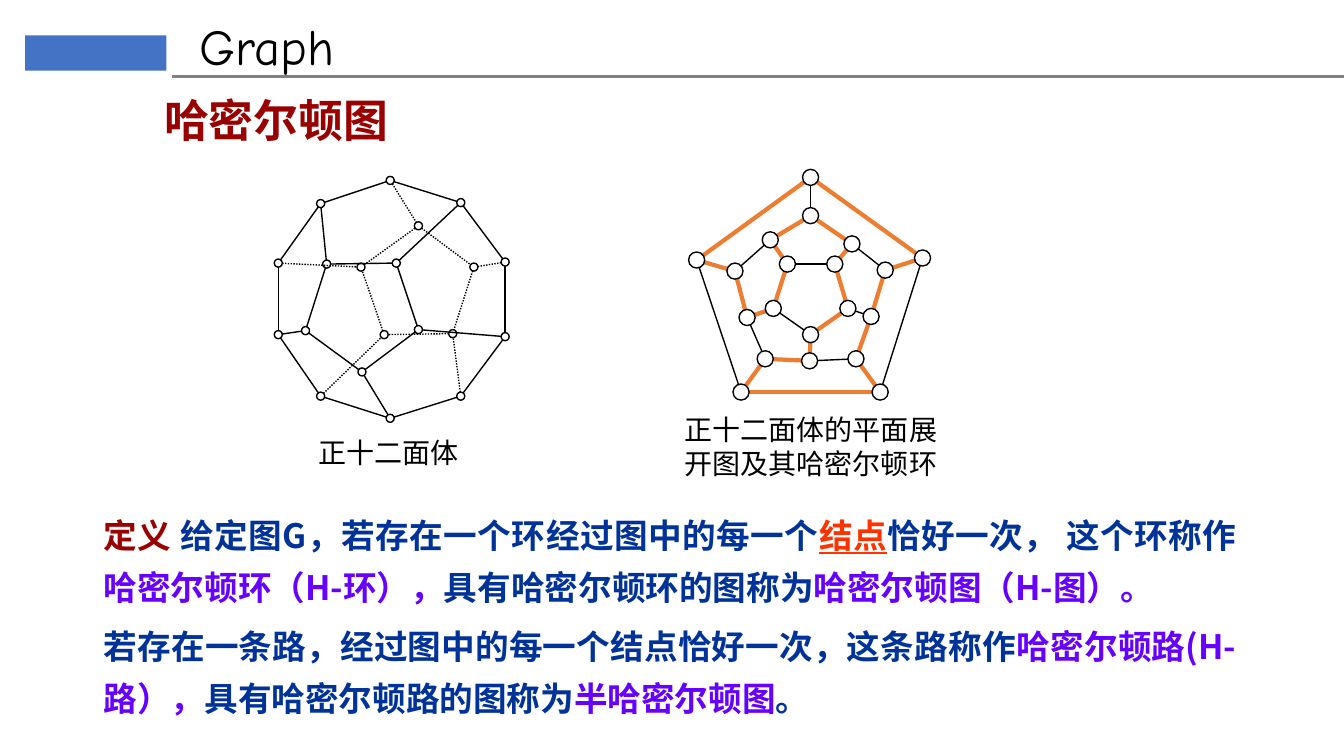
from dataclasses import dataclass
from math import hypot

from lxml.etree import SubElement
from pptx import Presentation
from pptx.dml.color import RGBColor
from pptx.enum.dml import MSO_LINE
from pptx.enum.shapes import MSO_CONNECTOR, MSO_SHAPE
from pptx.enum.text import MSO_ANCHOR, PP_ALIGN
from pptx.oxml.ns import qn
from pptx.util import Emu, Pt

PX = 9144  # 100 px to the inch


@dataclass(frozen=True)
class Theme:
    ink: str = "000000"
    rule: str = "808080"
    accent: str = "4472C4"
    heading: str = "990000"
    body: str = "003399"
    key: str = "FF3300"
    term: str = "6600FF"
    cycle: str = "ED7D31"
    cjk: str = "Noto Sans CJK SC"
    header_font: str = "Comic Neue"
    header_size: int = 36
    title_size: int = 32
    body_size: int = 24
    caption_size: int = 20
    body_leading: float = 37.2
    caption_leading: float = 24.3


THEME = Theme()

# Vertices 0-9 form the ring, 10-14 hang on its even and 15-19 on its odd ones.
EDGES = (
    [(i, (i + 1) % 10) for i in range(10)]
    + [(start + i, start + (i + 1) % 5) for start in (10, 15) for i in range(5)]
    + [(2 * i + odd, 10 + 5 * odd + i) for odd in (0, 1) for i in range(5)]
)
SOLID_VERTICES = [
    (115, 4), (185, 26), (229, 85), (229, 159), (185, 218),
    (115, 240), (46, 218), (4, 157), (4, 86), (46, 27),
    (143, 49), (198, 90), (177, 156), (109, 157), (86, 90),
    (121, 86), (143, 152), (87, 194), (31, 153), (52, 87),
]
PLANAR_VERTICES = [
    (121, 46), (162, 74), (195, 100), (181, 146), (166, 188),
    (120, 190), (76, 188), (58, 147), (46, 101), (81, 70),
    (121, 8), (232, 88), (190, 221), (52, 221), (8, 90),
    (145, 94), (158, 138), (121, 164), (84, 138), (98, 94),
]
HAMILTON_CYCLE = [10, 11, 2, 3, 4, 12, 13, 6, 5, 17,
                  16, 15, 1, 0, 9, 19, 18, 7, 8, 14]
HAMILTON_EDGES = {frozenset(pair) for pair in
                  zip(HAMILTON_CYCLE, HAMILTON_CYCLE[1:] + HAMILTON_CYCLE[:1])}

DEFINITIONS = [
    [("定义 ", THEME.heading),
     ("给定图G，若存在一个环经过图中的每一个", THEME.body),
     ("结点", THEME.key),
     ("恰好一次， 这个环称作", THEME.body),
     ("哈密尔顿环（H-环），", THEME.term),
     ("具有哈密尔顿环的图称为", THEME.body),
     ("哈密尔顿图（H-图）。", THEME.term)],
    [("若存在一条路，经过图中的每一个结点恰好一次，这条路称作", THEME.body),
     ("哈密尔顿路(H-路），", THEME.term),
     ("具有哈密尔顿路的图称为", THEME.body),
     ("半哈密尔顿图", THEME.term),
     ("。", THEME.body)],
]


def px(length):
    return Emu(round(length * PX))


def add_text(slide, box, paragraphs, size, font=THEME.cjk, bold=False,
             paragraph_format=None, margins=(10, 5), anchor=MSO_ANCHOR.TOP):
    """Add a wrapping text box; each paragraph is a list of (words, colour)."""
    frame = slide.shapes.add_textbox(*map(px, box)).text_frame
    across, down = map(px, margins)
    frame_format = {"word_wrap": True, "vertical_anchor": anchor,
                    "margin_left": across, "margin_right": across,
                    "margin_top": down, "margin_bottom": down}
    for key, value in frame_format.items():
        setattr(frame, key, value)
    for index, runs in enumerate(paragraphs):
        paragraph = frame.add_paragraph() if index else frame.paragraphs[0]
        for key, value in (paragraph_format or {}).items():
            setattr(paragraph, key, value)
        for words, colour in runs:
            run = paragraph.add_run()
            run.text = words
            run_format = {"size": Pt(size), "name": font, "bold": bold,
                          "underline": colour == THEME.key}
            for key, value in run_format.items():
                setattr(run.font, key, value)
            run.font.color.rgb = RGBColor.from_string(colour)
            SubElement(run.font._element, qn("a:ea"), typeface=font)


def add_line(slide, start, end, colour, width, dash=None):
    line = slide.shapes.add_connector(
        MSO_CONNECTOR.STRAIGHT, *map(px, (*start, *end)))
    line.line.color.rgb = RGBColor.from_string(colour)
    line.line.width = Pt(width)
    if dash:
        line.line.dash_style = dash
    SubElement(line._element.spPr, qn("a:effectLst"))


def add_header(slide, box):
    left, top, width, height = box
    block = slide.shapes.add_shape(
        MSO_SHAPE.RECTANGLE, *map(px, (left + 25, top + 35, 140, 35)))
    block.shadow.inherit = False
    block.fill.solid()
    block.fill.fore_color.rgb = RGBColor.from_string(THEME.accent)
    block.line.fill.background()
    add_line(slide, (left + 171, top + height), (left + width, top + height),
             THEME.rule, 2)
    add_text(slide, (left + 188, top + 10, 862, 71), [[("Graph", THEME.ink)]],
             THEME.header_size, THEME.header_font)


def add_graph(slide, box, vertices, radius, edge_style):
    """Draw the dodecahedron graph, its edges stopping at the vertex rims."""
    left, top = box[:2]
    centres = [(left + x, top + y) for x, y in vertices]
    for edge in EDGES:
        (x1, y1), (x2, y2) = (centres[vertex] for vertex in edge)
        trim = radius / hypot(x2 - x1, y2 - y1)
        dx, dy = trim * (x2 - x1), trim * (y2 - y1)
        add_line(slide, (x1 + dx, y1 + dy), (x2 - dx, y2 - dy), *edge_style(edge))
    for x, y in centres:
        vertex = slide.shapes.add_shape(
            MSO_SHAPE.OVAL, *map(px, (x - radius, y - radius, 2 * radius, 2 * radius)))
        vertex.shadow.inherit = False
        vertex.fill.background()
        vertex.line.color.rgb = RGBColor.from_string(THEME.ink)
        vertex.line.width = Pt(1)


def solid_edge_style(edge):
    hidden = any(10 <= vertex < 15 for vertex in edge)
    return THEME.ink, 1, MSO_LINE.ROUND_DOT if hidden else None


def planar_edge_style(edge):
    return (THEME.cycle, 3) if frozenset(edge) in HAMILTON_EDGES else (THEME.ink, 1)


def add_caption(slide, box, words):
    add_text(slide, box, [[(words, THEME.ink)]], THEME.caption_size, margins=(0, 0),
             paragraph_format={"line_spacing": Pt(THEME.caption_leading)})


def add_solid_figure(slide, box):
    left, top = box[:2]
    add_graph(slide, box, SOLID_VERTICES, 4, solid_edge_style)
    add_caption(slide, (left + 44, top + 257, 150, 34), "正十二面体")


def add_planar_figure(slide, box):
    left, top, width, _ = box
    add_graph(slide, box, PLANAR_VERTICES, 8, planar_edge_style)
    add_caption(slide, (left - 4, top + 241, width + 18, 68),
                "正十二面体的平面展开图及其哈密尔顿环")


def add_definitions(slide, box):
    add_text(slide, box, DEFINITIONS, THEME.body_size, bold=True,
             paragraph_format={"alignment": PP_ALIGN.JUSTIFY,
                               "line_spacing": Pt(THEME.body_leading),
                               "space_before": Pt(5)})


def main():
    deck = Presentation()
    deck.slide_width, deck.slide_height = px(1333), px(750)
    slide = deck.slides.add_slide(deck.slide_layouts[6])
    add_header(slide, (0, 0, 1333, 76))
    add_text(slide, (153, 68, 840, 102), [[("哈密尔顿图", THEME.heading)]],
             THEME.title_size, bold=True, anchor=MSO_ANCHOR.MIDDLE)
    add_solid_figure(slide, (272, 175, 233, 293))
    add_planar_figure(slide, (683, 168, 240, 311))
    add_definitions(slide, (93, 494, 1143, 248))
    deck.save("out.pptx")


if __name__ == "__main__":
    main()
